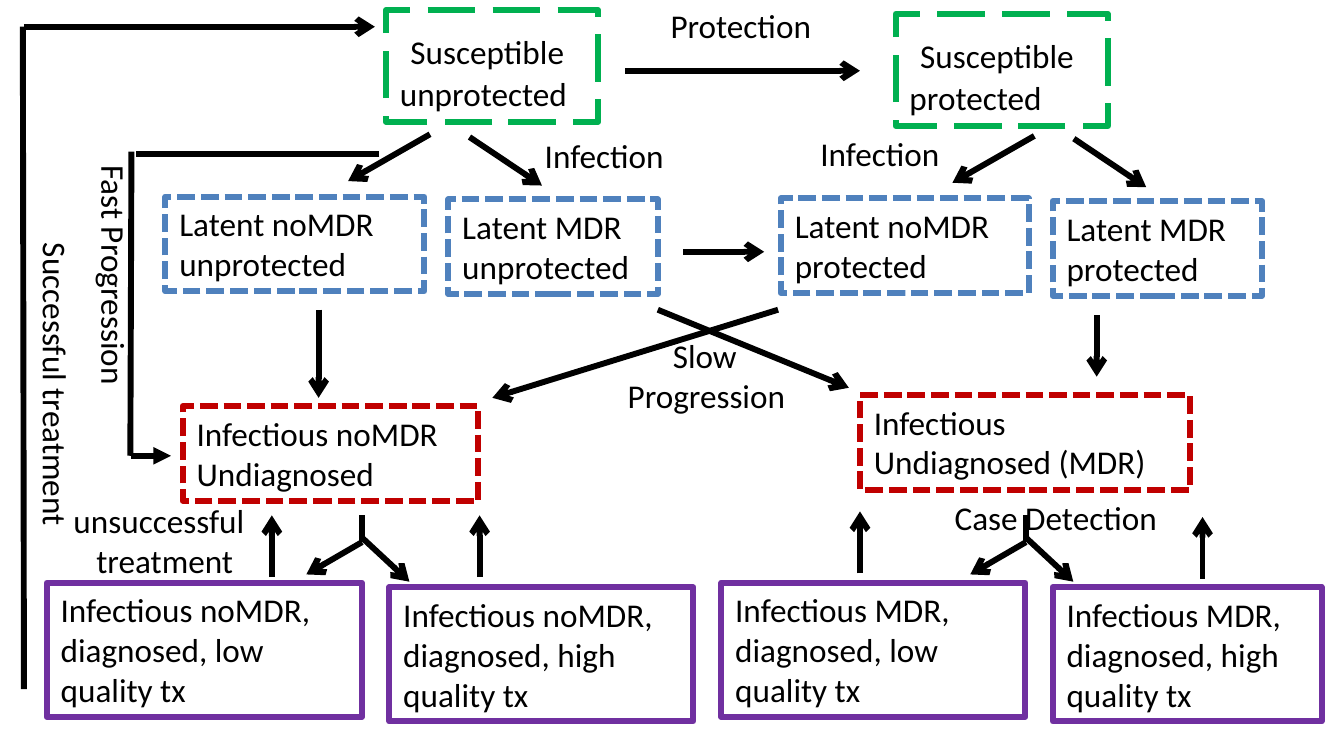
"""Build the slide with the tuberculosis transmission and treatment model."""
from pptx import Presentation
from pptx.dml.color import RGBColor
from pptx.enum.dml import MSO_LINE
from pptx.enum.shapes import MSO_CONNECTOR, MSO_SHAPE
from pptx.enum.text import MSO_ANCHOR, PP_ALIGN
from pptx.oxml.ns import qn
from pptx.util import Cm, Pt
from lxml import etree

BLACK = RGBColor(0x00, 0x00, 0x00)
GREEN = RGBColor(0x00, 0xB0, 0x50)
BLUE = RGBColor(0x4F, 0x81, 0xBD)
RED = RGBColor(0xC0, 0x00, 0x00)
PURPLE = RGBColor(0x70, 0x30, 0xA0)
LONG_DASH, SHORT_DASH = MSO_LINE.LONG_DASH, MSO_LINE.SQUARE_DOT
RECT, STRAIGHT = MSO_SHAPE.RECTANGLE, MSO_CONNECTOR.STRAIGHT
TOP, LEFT = MSO_ANCHOR.TOP, PP_ALIGN.LEFT
FONT, SIZE, WEIGHT = "Calibri", Pt(16.9), Pt(3)

prs = Presentation()
prs.slide_width, prs.slide_height = Cm(24.13), Cm(13.21)
s = prs.slides.add_slide(prs.slide_layouts[6])


def add_run(p, text, size=SIZE):
    r = p.add_run()
    r.text = text
    r.font.name, r.font.size = FONT, size
    r.font.color.rgb = BLACK


def add_line(x1, y1, x2, y2, head=None):
    sp = s.shapes.add_connector(STRAIGHT, Cm(x1), Cm(y1), Cm(x2), Cm(y2))
    sp.line.color.rgb, sp.line.width = BLACK, WEIGHT
    pr = sp._element.spPr
    if head:
        etree.SubElement(pr.find(qn("a:ln")), qn("a:tailEnd"), type=head)
    etree.SubElement(pr, qn("a:effectLst"))


labels = [
    (1.07, 8.86, 4.01, 1.7, [("unsuccessful", 0), ("treatment", 0.41)]),
    (11.02, 5.89, 3.96, 1.7, [("Slow", 0.81), ("Progression", 0)]),
    (14.48, 2.26, 2.97, 0.99, [("Infection", 0)]),
    (9.53, 2.31, 2.97, 0.99, [("Infection", 0)]),
    (16.89, 8.81, 4.62, 0.99, [("Case Detection", 0)]),
    (11.79, -0.03, 3.05, 0.99, [("Protection", 0)]),
]
for x, y, w, h, lines in labels:
    tf = s.shapes.add_textbox(Cm(x), Cm(y), Cm(w), Cm(h)).text_frame
    tf.word_wrap = True
    for i, (text, indent) in enumerate(lines):
        p = tf.add_paragraph() if i else tf.paragraphs[0]
        p._p.get_or_add_pPr().set("marL", str(int(Cm(indent))))
        add_run(p, text)

vertical_labels = [
    (1.3, 2.72, 4.22, "Fast Progression"),
    (0.25, 4.11, 5.36, "Successful treatment"),
]
for x, y, h, text in vertical_labels:
    tf = s.shapes.add_textbox(Cm(x), Cm(y), Cm(1.24), Cm(h)).text_frame
    tf.word_wrap = False
    tf._txBody.bodyPr.set("vert", "eaVert")
    add_run(tf.paragraphs[0], text)

stages = [
    (GREEN, LONG_DASH, 2.01, [
        (6.93, 0.18, 3.81, "Susceptible unprotected"),
        (16.08, 0.25, 3.81, "Susceptible protected")]),
    (BLUE, SHORT_DASH, 1.7, [
        (2.97, 3.53, 4.65, "Latent noMDR unprotected"),
        (8.05, 3.58, 3.76, "Latent MDR unprotected"),
        (14.02, 3.56, 4.45, "Latent noMDR protected"),
        (18.9, 3.61, 3.76, "Latent MDR protected")]),
    (RED, SHORT_DASH, 1.7, [
        (3.28, 7.29, 5.31, "Infectious noMDR Undiagnosed"),
        (15.44, 7.09, 5.92, "Infectious Undiagnosed (MDR)")]),
    (PURPLE, None, 2.41, [
        (0.84, 10.46, 5.66, "Infectious noMDR, diagnosed, low quality tx"),
        (6.99, 10.54, 5.46, "Infectious noMDR, diagnosed, high quality tx"),
        (12.95, 10.46, 5.46, "Infectious MDR, diagnosed, low quality tx"),
        (18.9, 10.54, 4.83, "Infectious MDR, diagnosed, high quality tx")]),
]
for color, dash, h, boxes in stages:
    for x, y, w, text in boxes:
        sp = s.shapes.add_shape(RECT, Cm(x), Cm(y), Cm(w), Cm(h))
        sp.shadow.inherit = False
        sp.fill.background()
        sp.line.color.rgb, sp.line.width = color, WEIGHT
        if dash:
            sp.line.dash_style = dash
        tf = sp.text_frame
        tf.word_wrap, tf.vertical_anchor = True, TOP
        p = tf.paragraphs[0]
        p.alignment = LEFT
        if color == GREEN:
            add_run(p, " ", Pt(24))
        add_run(p, text)

for dx, dy in ((0, 0), (10.85, 0.03)):
    add_line(7.72 + dx, 2.41 + dy, 6.25 + dx, 3.25 + dy, "arrow")
    add_line(8.43 + dx, 2.46 + dy, 9.73 + dx, 3.33 + dy, "arrow")

for x in (6.5, 18.42):
    add_line(x, 9.25, x, 9.73)
    add_line(x, 9.73, x - 1, 10.31, "arrow")
    add_line(x, 9.65, x + 0.85, 10.44, "arrow")

for x, y in ((4.88, 10.36), (8.61, 10.36), (15.44, 10.29), (21.59, 10.39)):
    add_line(x, y, x, y - 1.11, "arrow")

flows = [
    (11.23, 1.27, 15.44, 1.27, "arrow"),
    (12.27, 4.52, 13.72, 4.52, "arrow"),
    (5.72, 5.56, 5.72, 7.14, "arrow"),
    (19.69, 5.66, 19.69, 6.76, "arrow"),
    (13.97, 5.56, 8.84, 7.14, "arrow"),
    (11.81, 5.56, 15.24, 6.96, "arrow"),
    (6.81, 2.77, 2.44, 2.77, None),
    (2.36, 2.72, 2.34, 8.18, None),
    (2.36, 8.18, 3.07, 8.18, "triangle"),
    (0.43, 12.37, 0.41, 0.48, None),
    (0.43, 0.48, 6.73, 0.48, "arrow"),
]
for flow in flows:
    add_line(*flow)

prs.save("out.pptx")
